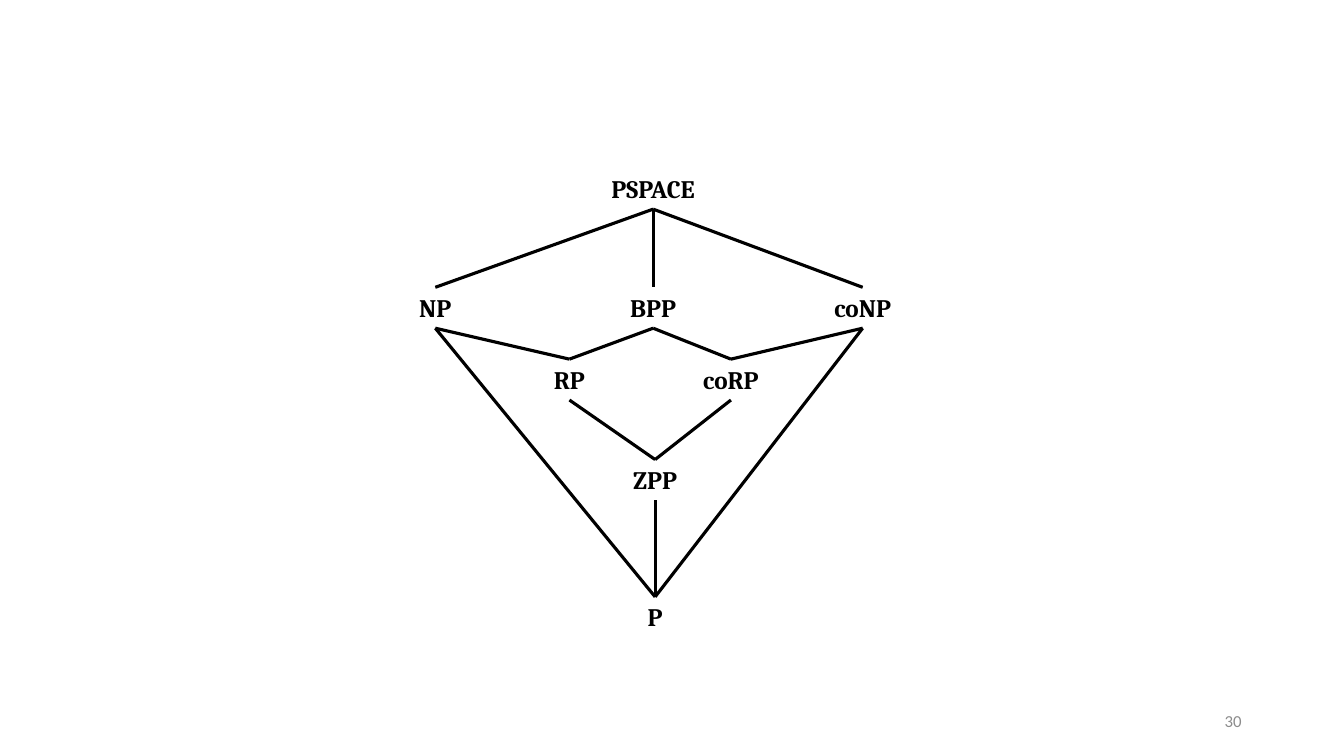
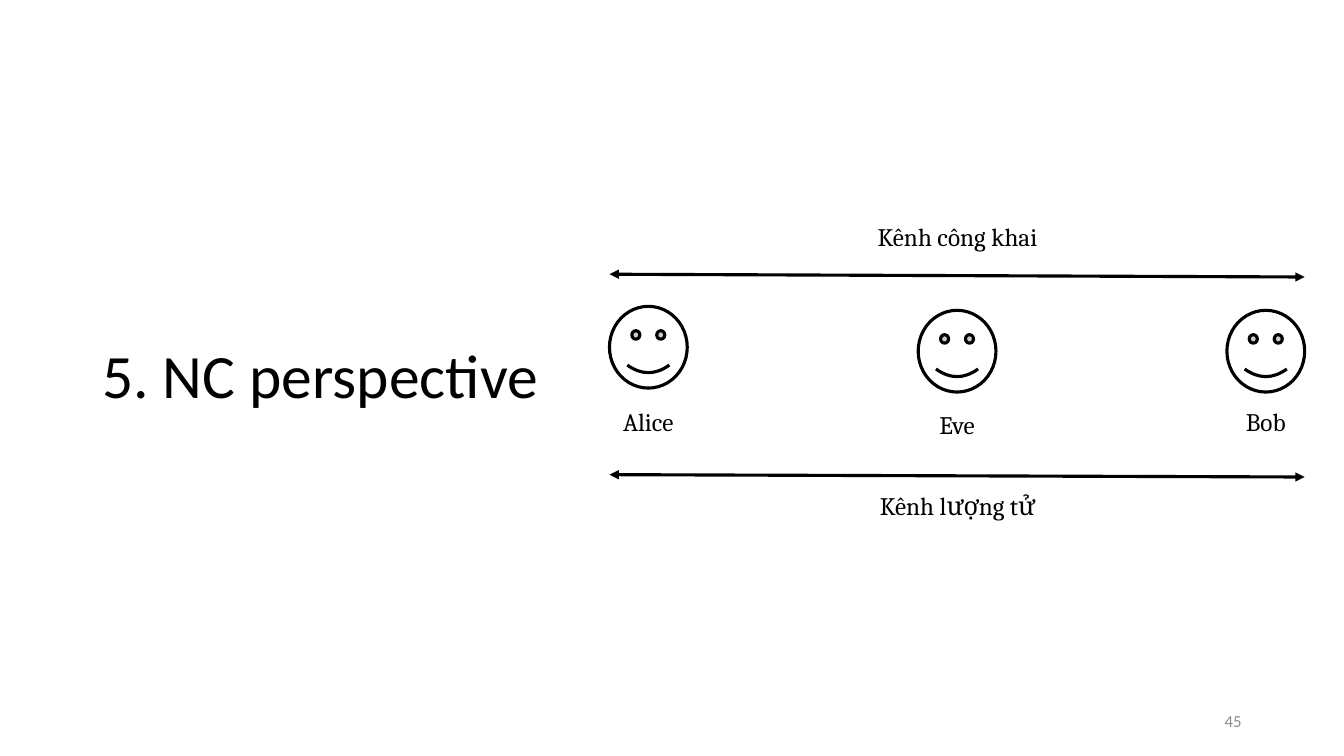
"""Builds two slides: a complexity class diagram and a key exchange scene."""
import dataclasses

import lxml.etree
import pptx
import pptx.dml.color
import pptx.enum.shapes
import pptx.enum.text
import pptx.oxml.ns
import pptx.util

Cm = pptx.util.Cm
ALIGN = pptx.enum.text.PP_ALIGN
ANCHOR = pptx.enum.text.MSO_ANCHOR


@dataclasses.dataclass(frozen=True)
class Theme:
    ink: pptx.dml.color.RGBColor = pptx.dml.color.RGBColor(0, 0, 0)
    paper: pptx.dml.color.RGBColor = pptx.dml.color.RGBColor(255, 255, 255)
    muted: pptx.dml.color.RGBColor = pptx.dml.color.RGBColor(0x8C, 0x8C, 0x8C)
    label_font: str = "Cambria"
    base_font: str = "Calibri"
    title_size: pptx.util.Pt = pptx.util.Pt(44)
    label_size: pptx.util.Pt = pptx.util.Pt(18)
    number_size: pptx.util.Pt = pptx.util.Pt(12)
    stroke: pptx.util.Pt = pptx.util.Pt(2.25)


theme = Theme()
label_height = 1.03


def add_text(s, text, left, top, width, height=label_height, size=theme.label_size,
             font=theme.label_font, color=theme.ink, bold=False,
             align=ALIGN.CENTER, anchor=ANCHOR.TOP):
    sp = s.shapes.add_textbox(Cm(left), Cm(top), Cm(width), Cm(height))
    tf = sp.text_frame
    tf.word_wrap = True
    tf.vertical_anchor = anchor
    tf.text = text
    p = tf.paragraphs[0]
    p.alignment = align
    r = p.runs[0]
    r.font.size, r.font.name, r.font.bold = size, font, bold
    r.font.color.rgb = color
    return sp


def add_line(s, x1, y1, x2, y2, arrows=False):
    line = s.shapes.add_connector(pptx.enum.shapes.MSO_CONNECTOR.STRAIGHT,
                                  Cm(x1), Cm(y1), Cm(x2), Cm(y2))
    line.line.color.rgb = theme.ink
    line.line.width = theme.stroke
    if arrows:
        ln = line.line._get_or_add_ln()
        for end in ("a:headEnd", "a:tailEnd"):
            lxml.etree.SubElement(ln, pptx.oxml.ns.qn(end), type="triangle")
    lxml.etree.SubElement(line._element.spPr, pptx.oxml.ns.qn("a:effectLst"))
    return line


prs = pptx.Presentation()
prs.slide_width, prs.slide_height = Cm(33.87), Cm(19.05)
blank = prs.slide_layouts[6]

s = prs.slides.add_slide(blank)
class_width = 2.84
class_places = {
    "PSPACE": (16.46, 4.24),
    "NP": (10.97, 7.24),
    "BPP": (16.46, 7.24),
    "coNP": (21.74, 7.24),
    "RP": (14.35, 9.05),
    "coRP": (18.42, 9.05),
    "ZPP": (16.51, 11.58),
    "P": (16.51, 15.04),
}
inclusions = [
    ("PSPACE", "NP"), ("PSPACE", "BPP"), ("PSPACE", "coNP"),
    ("NP", "RP"), ("BPP", "RP"), ("BPP", "coRP"), ("coNP", "coRP"),
    ("RP", "ZPP"), ("coRP", "ZPP"),
    ("NP", "P"), ("ZPP", "P"), ("coNP", "P"),
]
classes = {}
for name, (center, top) in class_places.items():
    classes[name] = add_text(s, name, center - class_width / 2, top, class_width, bold=True)
for upper, lower in inclusions:
    x1, y1 = class_places[upper]
    x2, y2 = class_places[lower]
    line = add_line(s, x1, y1 + label_height, x2, y2)
    line.begin_connect(classes[upper], 2)
    line.end_connect(classes[lower], 0)

s = prs.slides.add_slide(blank)
add_text(s, "5. NC perspective", 2.33, 7.7, 29.21, 3.68, theme.title_size,
         theme.base_font, align=ALIGN.LEFT, anchor=ANCHOR.MIDDLE)
s.shapes[0].text_frame.paragraphs[0].line_spacing = 0.9

face_width, face_height, name_width = 1.96, 2.06, 2.24
first_center, face_step = 16.34, 7.78
people = [("Alice", 7.72, 10.11), ("Eve", 7.82, 10.19), ("Bob", 7.82, 10.11)]
for i, (name, face_top, name_top) in enumerate(people):
    center = first_center + i * face_step
    sp = s.shapes.add_shape(pptx.enum.shapes.MSO_SHAPE.SMILEY_FACE,
                            Cm(center - face_width / 2), Cm(face_top),
                            Cm(face_width), Cm(face_height))
    sp.shadow.inherit = False
    sp.fill.solid()
    sp.fill.fore_color.rgb = theme.paper
    sp.line.color.rgb = theme.ink
    sp.line.width = theme.stroke
    add_text(s, name, center - name_width / 2, name_top, name_width)

channel_left = first_center - face_width / 2
channel_right = first_center + 2 * face_step + face_width / 2
channels = [("Kênh công khai", 5.44, 6.91, 6.98), ("Kênh lượng tử", 12.24, 11.96, 12.02)]
for name, name_top, left_y, right_y in channels:
    add_line(s, channel_left, left_y, channel_right, right_y, arrows=True)
    add_text(s, name, 21.59, name_top, 5.08)

for s, number in zip(prs.slides, ("30", "45")):
    add_text(s, number, 23.92, 17.66, 7.62, 1.01, theme.number_size, theme.base_font,
             theme.muted, align=ALIGN.RIGHT, anchor=ANCHOR.MIDDLE)

prs.save("out.pptx")
